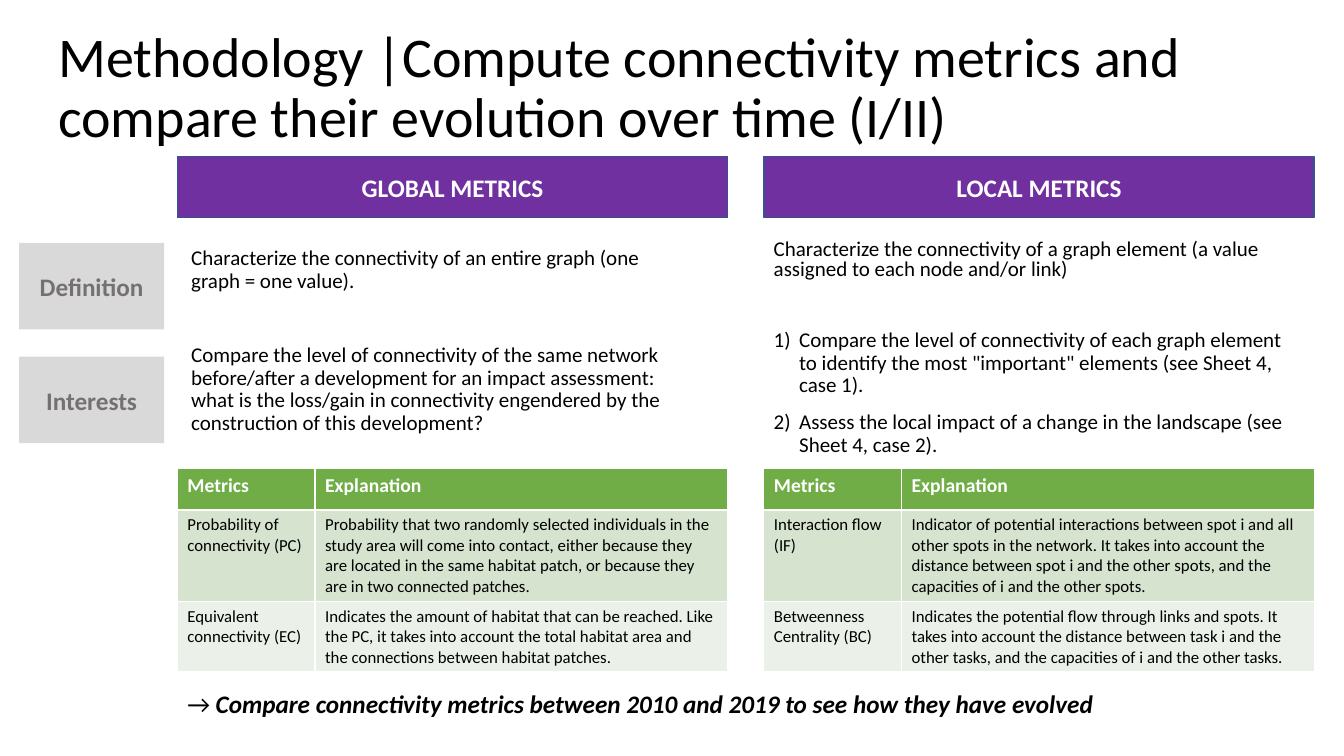
from lxml import etree
from pptx import Presentation
from pptx.dml.color import RGBColor
from pptx.enum.shapes import MSO_SHAPE as SHAPE
from pptx.enum.text import MSO_ANCHOR as ANCHOR, PP_ALIGN as ALIGN
from pptx.oxml.ns import qn
from pptx.util import Cm, Pt

BLACK = RGBColor(0x00, 0x00, 0x00)
WHITE = RGBColor(0xFF, 0xFF, 0xFF)
PURPLE = RGBColor(0x70, 0x30, 0xA0)
NAVY = RGBColor(0x32, 0x54, 0x91)
LIGHT_GREY = RGBColor(0xD9, 0xD9, 0xD9)
DARK_GREY = RGBColor(0x76, 0x71, 0x71)
GREEN = RGBColor(0x70, 0xAD, 0x47)
ROW_FILLS = [GREEN, RGBColor(0xD5, 0xE3, 0xCF), RGBColor(0xEB, 0xF1, 0xE9)]

COLUMN_LEFTS = [4.47, 19.25]
COLUMN_WIDTH = 13.87
TABLE_COLS = [3.47, 10.4]
TABLE_ROWS = [1.04, 2.3, 1.77]


def write(tf, text, size=15, color=BLACK, bold=False, italic=False,
          align=ALIGN.LEFT, line=1.0, before=0):
    """Fill the first paragraph if it is empty, otherwise add one."""
    p = tf.add_paragraph() if tf.text else tf.paragraphs[0]
    p.alignment, p.line_spacing, p.space_before = align, line, Pt(before)
    r = p.add_run()
    r.text = text
    r.font.name, r.font.size, r.font.color.rgb = "Calibri", Pt(size), color
    r.font.bold, r.font.italic = bold, italic
    return p


def add_box(left, top, width, height, fill=None, line=None, anchor=ANCHOR.TOP):
    """Add a filled rectangle, or a text box when there is no fill."""
    place = Cm(left), Cm(top), Cm(width), Cm(height)
    if fill is None:
        sp = s.shapes.add_textbox(*place)
    else:
        sp = s.shapes.add_shape(SHAPE.RECTANGLE, *place)
        sp.shadow.inherit = False
        sp.fill.solid()
        sp.fill.fore_color.rgb = fill
        if line is None:
            sp.line.fill.background()
        else:
            sp.line.color.rgb, sp.line.width = line, Pt(1)
    tf = sp.text_frame
    tf.word_wrap, tf.vertical_anchor = True, anchor
    return tf


prs = Presentation()
prs.slide_width, prs.slide_height = Cm(33.87), Cm(19.05)
s = prs.slides.add_slide(prs.slide_layouts[6])

# Title
tf = add_box(1.22, 0.41, 32.44, 3.68, anchor=ANCHOR.MIDDLE)
write(tf, "Methodology |Compute connectivity metrics and compare their "
      "evolution over time (I/II)", size=40, line=0.9)

# Column headings
for left, heading in zip(COLUMN_LEFTS, ["GLOBAL METRICS", "LOCAL METRICS"]):
    tf = add_box(left, 3.94, COLUMN_WIDTH, 1.55, PURPLE, NAVY, ANCHOR.MIDDLE)
    write(tf, heading, size=18, color=WHITE, bold=True, align=ALIGN.CENTER)

# Row labels
for i, label in enumerate(["Definition", "Interests"]):
    tf = add_box(0.48, 6.12 + i * 2.87, 3.66, 2.18, LIGHT_GREY, anchor=ANCHOR.MIDDLE)
    write(tf, label, size=18, color=DARK_GREY, bold=True, align=ALIGN.CENTER)

# Global metrics: definition and interest
tf = add_box(4.57, 6.12, 12.9, 5.92)
write(tf, "Characterize the connectivity of an entire graph (one graph = one value).",
      line=0.9)
write(tf, "Compare the level of connectivity of the same network before/after a "
      "development for an impact assessment: what is the loss/gain in connectivity "
      "engendered by the construction of this development?", line=0.9, before=36.5)

# Local metrics: definition and numbered interests
tf = add_box(19.25, 5.94, COLUMN_WIDTH, 5.92)
write(tf, "Characterize the connectivity of a graph element (a value assigned to "
      "each node and/or link)", line=0.8)
interests = [
    ("Compare the level of connectivity of each graph element to identify the most "
     "\"important\" elements (see Sheet 4, case 1).", 34.5),
    ("Assess the local impact of a change in the landscape (see Sheet 4, case 2).", 10),
]
for text, before in interests:
    pPr = write(tf, text, line=0.9, before=before)._p.get_or_add_pPr()
    pPr.set("marL", str(Cm(0.64)))
    pPr.set("indent", str(-Cm(0.64)))
    etree.SubElement(pPr, qn("a:buAutoNum")).set("type", "arabicParenR")

# Metric tables
HEADER = ("Metrics", "Explanation")
global_rows = [
    HEADER,
    ("Probability of connectivity (PC)",
     "Probability that two randomly selected individuals in the study area will come "
     "into contact, either because they are located in the same habitat patch, or "
     "because they are in two connected patches."),
    ("Equivalent connectivity (EC)",
     "Indicates the amount of habitat that can be reached. Like the PC, it takes into "
     "account the total habitat area and the connections between habitat patches."),
]
local_rows = [
    HEADER,
    ("Interaction flow (IF)",
     "Indicator of potential interactions between spot i and all other spots in the "
     "network. It takes into account the distance between spot i and the other spots, "
     "and the capacities of i and the other spots."),
    ("Betweenness\nCentrality (BC)",
     "Indicates the potential flow through links and spots. It takes into account the "
     "distance between task i and the other tasks, and the capacities of i and the "
     "other tasks."),
]
for left, rows in zip(COLUMN_LEFTS, [global_rows, local_rows]):
    table = s.shapes.add_table(len(TABLE_ROWS), len(TABLE_COLS), Cm(left), Cm(11.81),
                               Cm(COLUMN_WIDTH), Cm(sum(TABLE_ROWS))).table
    for column, width in zip(table.columns, TABLE_COLS):
        column.width = Cm(width)
    for i, (texts, height) in enumerate(zip(rows, TABLE_ROWS)):
        table.rows[i].height = Cm(height)
        for j, text in enumerate(texts):
            cell = table.cell(i, j)
            cell.fill.solid()
            cell.fill.fore_color.rgb = ROW_FILLS[i]
            for part in text.split("\n"):
                write(cell.text_frame, part, size=12 if i else 14,
                      color=BLACK if i else WHITE, bold=i == 0)

# Conclusion
tf = add_box(4.47, 17.22, 28.17, 1.02)
p = write(tf, "→ ", size=18)
r = p.add_run()
r.text = "Compare connectivity metrics between 2010 and 2019 to see how they have evolved"
r.font.name, r.font.size, r.font.color.rgb = "Calibri", Pt(18), BLACK
r.font.bold = r.font.italic = True

prs.save("out.pptx")
